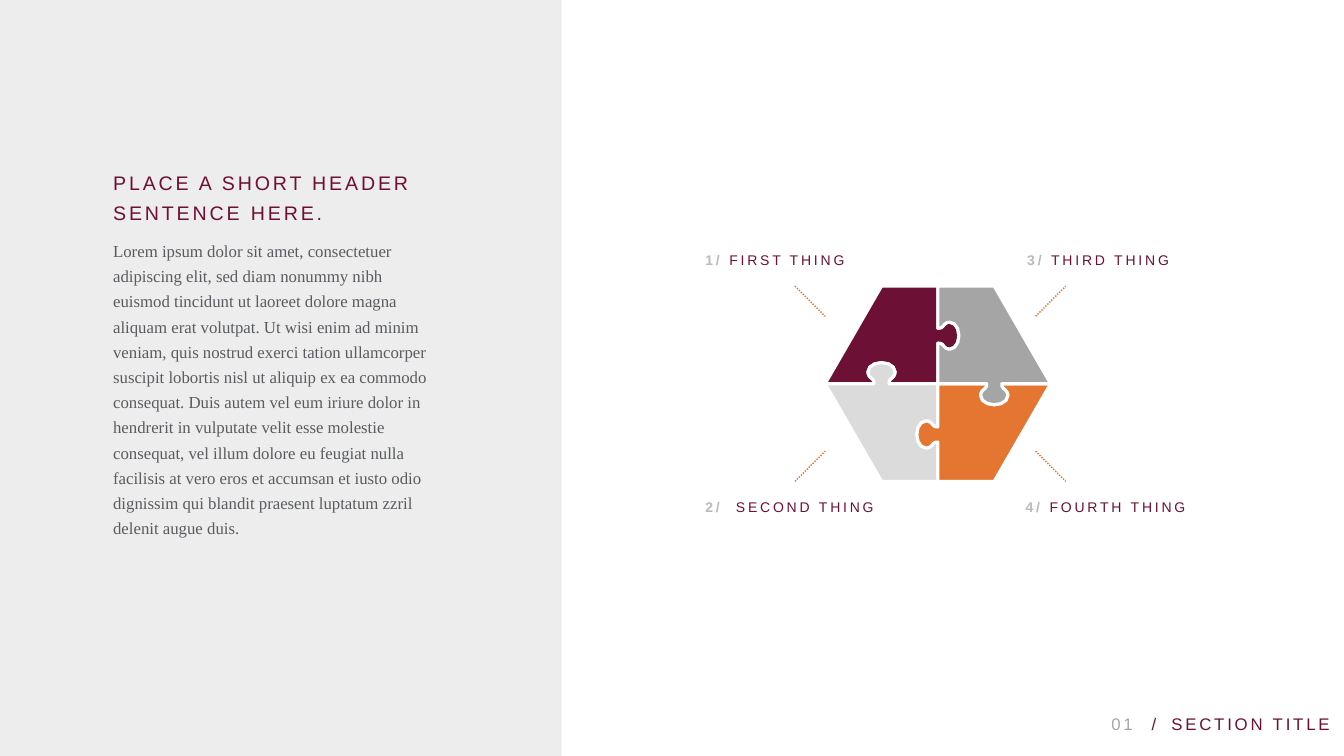
from lxml import etree
from pptx import Presentation
from pptx.dml.color import RGBColor
from pptx.enum import dml, shapes, text
from pptx.oxml import ns
from pptx.util import Cm, Pt

MAROON = RGBColor(0x6C, 0x10, 0x35)
ORANGE = RGBColor(0xE5, 0x76, 0x31)
GREY = RGBColor(0xA5, 0xA5, 0xA5)
SILVER = RGBColor(0xDB, 0xDB, 0xDB)
NUMBER_GREY = RGBColor(0xBA, 0xBA, 0xBA)
PANEL_GREY = RGBColor(0xED, 0xED, 0xED)
BODY_GREY = RGBColor(0x58, 0x5C, 0x5E)
WHITE = RGBColor(0xFF, 0xFF, 0xFF)

HEADER = "PLACE A SHORT HEADER SENTENCE HERE."
BODY = (
    "Lorem ipsum dolor sit amet, consectetuer adipiscing elit, sed diam nonummy nibh "
    "euismod tincidunt ut laoreet dolore magna aliquam erat volutpat. Ut wisi enim ad "
    "minim veniam, quis nostrud exerci tation ullamcorper suscipit lobortis nisl ut "
    "aliquip ex ea commodo consequat. Duis autem vel eum iriure dolor in hendrerit in "
    "vulputate velit esse molestie consequat, vel illum dolore eu feugiat nulla facilisis "
    "at vero eros et accumsan et iusto odio dignissim qui blandit praesent luptatum zzril "
    "delenit augue duis."
)

# Puzzle geometry in centimetres, measured from the hexagon's centre
CENTRE_X, CENTRE_Y = 23.63, 9.67
HALF_SIDE, HALF_WIDTH, HALF_HEIGHT = 1.42, 2.84, 2.46
# Half a knob as Bezier curves: (distance outward, distance across)
KNOB_CURVES = [
    [(0, -0.19), (0.08, -0.18), (0.13, -0.23), (0.15, -0.27)],
    [(0.15, -0.27), (0.2, -0.32), (0.23, -0.34), (0.3, -0.34)],
    [(0.3, -0.34), (0.43, -0.34), (0.53, -0.19), (0.53, 0)],
]
CURVE_STEPS = 3


def bezier_point(curve, t):
    weights = ((1 - t) ** 3, 3 * t * (1 - t) ** 2, 3 * t * t * (1 - t), t ** 3)
    return tuple(sum(w * p[axis] for w, p in zip(weights, curve)) for axis in (0, 1))


def knob(x, y, dx, dy):
    """Outline of a knob at (x, y) pointing along (dx, dy)."""
    half = [bezier_point(curve, step / CURVE_STEPS)
            for curve in KNOB_CURVES for step in range(CURVE_STEPS)]
    tip = KNOB_CURVES[-1][-1]
    profile = half + [tip] + [(out, -across) for out, across in reversed(half)]
    return [(x + out * dx - across * dy, y + out * dy + across * dx)
            for out, across in profile]


def add_piece(group, outline, color):
    points = [(Cm(CENTRE_X + x), Cm(CENTRE_Y + y)) for x, y in outline]
    builder = group.shapes.build_freeform(*points[0])
    builder.add_line_segments(points[1:], close=True)
    piece = builder.convert_to_shape()
    piece.shadow.inherit = False
    piece.fill.solid()
    piece.fill.fore_color.rgb = color
    piece.line.color.rgb = WHITE
    piece.line.width = Pt(2.25)


def add_puzzle(slide):
    left, right, centre = (-HALF_WIDTH, 0), (HALF_WIDTH, 0), (0, 0)
    top, bottom = (0, -HALF_HEIGHT), (0, HALF_HEIGHT)
    top_left, top_right = (-HALF_SIDE, -HALF_HEIGHT), (HALF_SIDE, -HALF_HEIGHT)
    bottom_left, bottom_right = (-HALF_SIDE, HALF_HEIGHT), (HALF_SIDE, HALF_HEIGHT)
    to_right, to_left = knob(0, -1.21, 1, 0), knob(0, 1.28, -1, 0)
    upward, downward = knob(-HALF_SIDE, 0, 0, -1), knob(HALF_SIDE, 0, 0, 1)

    puzzle = slide.shapes.add_group_shape()
    add_piece(puzzle, [left, top_left, top, *to_right, centre, *upward[::-1]], MAROON)
    add_piece(puzzle, [left, *upward, centre, *to_left[::-1], bottom, bottom_left], SILVER)
    add_piece(puzzle, [centre, *downward[::-1], right, bottom_right, bottom, *to_left], ORANGE)
    add_piece(puzzle, [top, top_right, right, *downward, centre, *to_right[::-1]], GREY)


def add_pointer(slide, start, end):
    (x1, y1), (x2, y2) = start, end
    pointer = slide.shapes.add_connector(
        shapes.MSO_CONNECTOR.STRAIGHT, Cm(CENTRE_X + x1), Cm(CENTRE_Y + y1),
        Cm(CENTRE_X + x2), Cm(CENTRE_Y + y2))
    pointer.line.color.rgb = ORANGE
    pointer.line.width = Pt(1)
    pointer.line.dash_style = dml.MSO_LINE.ROUND_DOT
    etree.SubElement(pointer._element.spPr, ns.qn("a:effectLst"))


def add_spaced_run(paragraph, words, spacing=2):
    run = paragraph.add_run()
    run.text = words
    run._r.get_or_add_rPr().set("spc", str(round(spacing * 100)))
    return run


def set_font(font, name, size, color):
    font.name, font.size = name, Pt(size)
    font.color.rgb = color


def set_insets(frame):
    frame.margin_left = frame.margin_right = Cm(0.13)
    frame.margin_top = frame.margin_bottom = Cm(0.13)


def place(shape, left, top, width, height):
    shape.left, shape.top = Cm(left), Cm(top)
    shape.width, shape.height = Cm(width), Cm(height)


def format_placeholder(placeholder, spacing):
    frame = placeholder.text_frame
    set_insets(frame)
    frame.word_wrap = True
    frame.auto_size = text.MSO_AUTO_SIZE.NONE
    frame.vertical_anchor = text.MSO_ANCHOR.TOP
    paragraph = frame.paragraphs[0]
    paragraph.alignment = text.PP_ALIGN.LEFT
    paragraph.line_spacing = Pt(spacing)
    paragraph.space_before = Pt(0)
    return paragraph


def add_label(slide, left, top, width, number, thing, gap=2):
    label = slide.shapes.add_textbox(Cm(left), Cm(top), Cm(width), Cm(0.69))
    label.text_frame.word_wrap = True
    paragraph = label.text_frame.paragraphs[0]
    for words, color, bold, spacing in ((number, NUMBER_GREY, True, 2),
                                        (" ", NUMBER_GREY, True, gap),
                                        (thing, MAROON, False, 2)):
        font = add_spaced_run(paragraph, words, spacing).font
        set_font(font, "Arial", 10, color)
        font.bold = bold


def add_footer_part(group, left, width, words, color, alignment):
    part = group.shapes.add_textbox(Cm(left), Cm(17.48), Cm(width), Cm(1.14))
    frame = part.text_frame
    set_insets(frame)
    frame.vertical_anchor = text.MSO_ANCHOR.BOTTOM
    frame.word_wrap = True
    paragraph = frame.paragraphs[0]
    paragraph.alignment = alignment
    paragraph.line_spacing = 0.9
    add_spaced_run(paragraph, words)
    set_font(paragraph.font, "Arial", 12, color)


def main():
    deck = Presentation()
    deck.slide_width, deck.slide_height = Cm(33.86), Cm(19.05)
    slide = deck.slides.add_slide(deck.slide_layouts[1])

    # Left panel, behind the placeholders
    panel = slide.shapes.add_shape(
        shapes.MSO_SHAPE.RECTANGLE, 0, 0, Cm(14.15), deck.slide_height)
    panel.shadow.inherit = False
    panel.fill.solid()
    panel.fill.fore_color.rgb = PANEL_GREY
    panel.line.fill.background()
    slide.shapes._spTree.insert(2, panel._element)

    # Header and body text
    header, body = slide.placeholders
    place(header, 2.72, 4.04, 10.87, 1.75)
    sentence = format_placeholder(header, 21)
    add_spaced_run(sentence, HEADER)
    set_font(sentence.font, "Arial", 14, MAROON)

    place(body, 2.72, 5.81, 8.18, 9.25)
    passage = format_placeholder(body, 18)
    passage.add_run().text = BODY
    properties = passage._p.get_or_add_pPr()
    properties.set("marL", "0")
    properties.set("indent", "0")
    etree.SubElement(properties, ns.qn("a:buNone"))
    set_font(passage.font, "Times New Roman", 12, BODY_GREY)

    # Puzzle with pointers and labels
    add_puzzle(slide)
    for side in (-1, 1):
        add_pointer(slide, (-3.6, 2.46 * side), (-2.84, 1.7 * side))
        add_pointer(slide, (2.46, 1.7 * side), (3.22, 2.46 * side))
    add_label(slide, 17.52, 6.22, 5.03, "1/", "FIRST THING")
    add_label(slide, 17.52, 12.44, 6.25, "2/", "SECOND THING", gap=6.8)
    add_label(slide, 25.63, 6.22, 5.03, "3/", "THIRD THING")
    add_label(slide, 25.59, 12.44, 5.84, "4/", "FOURTH THING")

    # Footer
    footer = slide.shapes.add_group_shape()
    add_footer_part(footer, 29.38, 4.48, "SECTION TITLE", MAROON, text.PP_ALIGN.LEFT)
    add_footer_part(footer, 16.58, 12.09, "01", GREY, text.PP_ALIGN.RIGHT)
    add_footer_part(footer, 28.57, 0.69, "/", MAROON, text.PP_ALIGN.RIGHT)

    deck.save("out.pptx")


if __name__ == "__main__":
    main()
